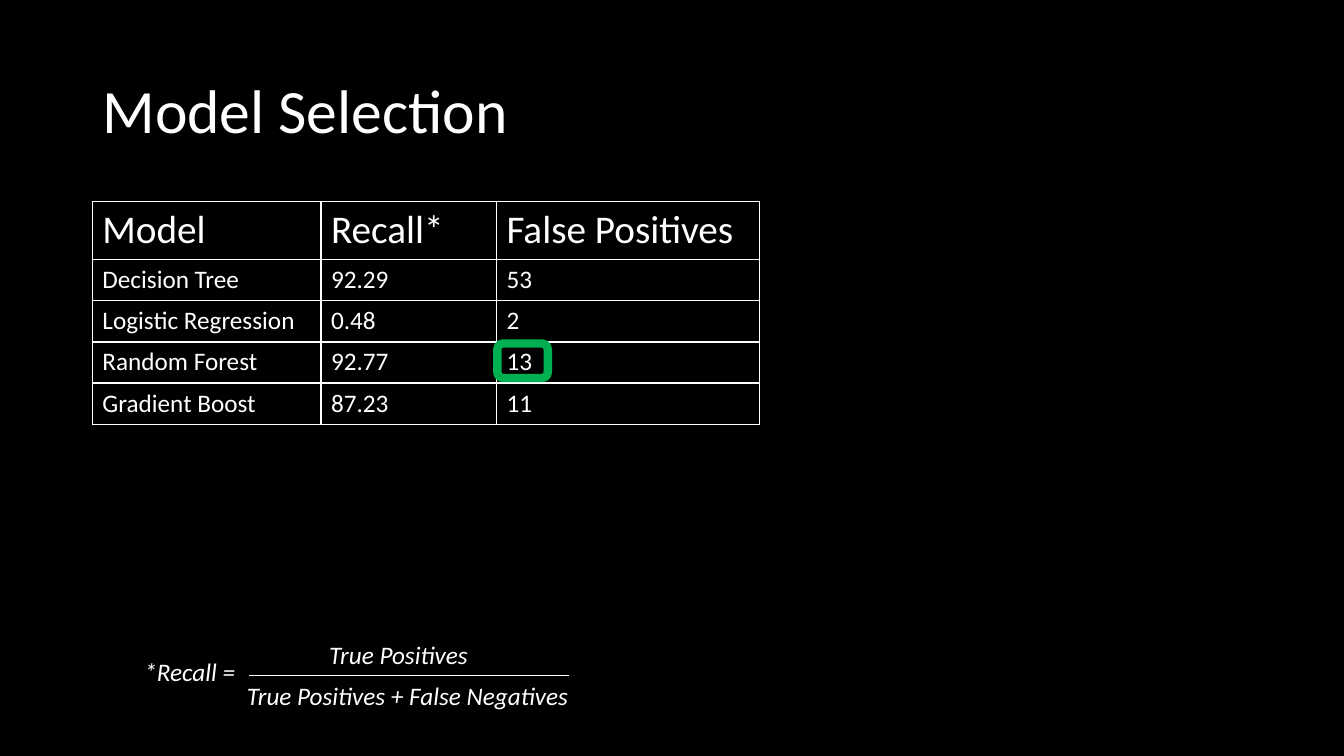
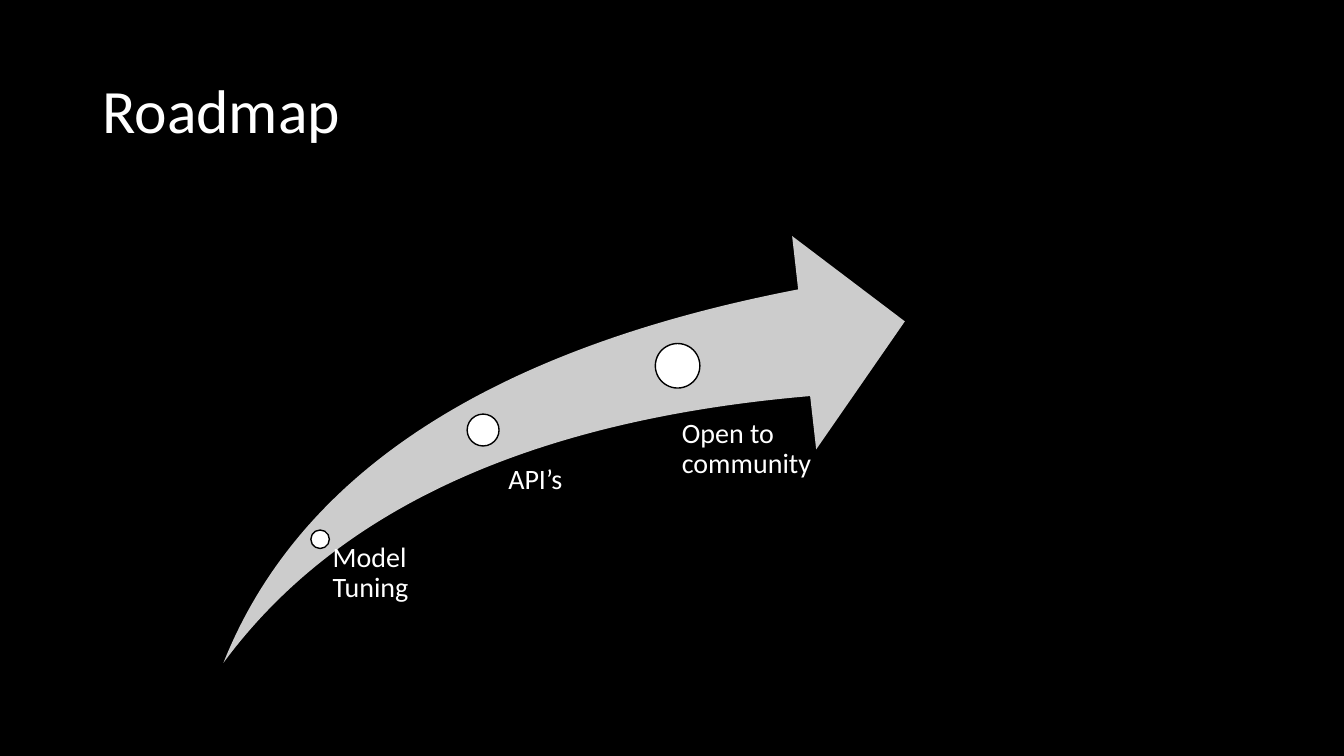
"""Build the model selection and roadmap slides."""
from dataclasses import dataclass
from typing import Any

import lxml.etree
import pptx
import pptx.dml.color
import pptx.enum.shapes
import pptx.enum.text
import pptx.oxml.ns
import pptx.util

RGB = pptx.dml.color.RGBColor
Shapes = pptx.enum.shapes.MSO_SHAPE
BLACK = RGB(0x00, 0x00, 0x00)
WHITE = RGB(0xFF, 0xFF, 0xFF)
SILVER = RGB(0xCC, 0xCC, 0xCC)
GREEN = RGB(0x00, 0xB0, 0x50)

FONT = "Calibri"
TITLE_SIZE, HEADER_SIZE, CAPTION_SIZE, TEXT_SIZE = 44, 28, 20, 18
LINE_SPACING = 0.9
TITLE_ONLY = 5

# The slide is a grid of 16 square columns by 9 rows.
SLIDE_WIDTH, SLIDE_HEIGHT = pptx.util.Inches(13.33), pptx.util.Inches(7.5)
CELL = SLIDE_HEIGHT / 9


def grid(count: float) -> pptx.util.Emu:
    """Convert a number of grid columns or rows to a length."""
    return pptx.util.Emu(round(count * CELL))


@dataclass(frozen=True)
class Area:
    """A rectangle in grid columns and rows."""
    left: float
    top: float
    width: float
    height: float

    def lengths(self) -> list[pptx.util.Emu]:
        """Return left, top, width and height as lengths."""
        return [grid(n) for n in (self.left, self.top, self.width, self.height)]


@dataclass(frozen=True)
class Milestone:
    """A dot on the roadmap and its caption."""
    caption: str
    left: float
    top: float
    diameter: float
    caption_area: Area


@dataclass(frozen=True)
class FormulaPart:
    """One piece of the recall formula."""
    text: str
    area: Area


TITLE_AREA = Area(1.1, 0.48, 13.8, 1.74)

MODEL_ROWS = [
    ("Model", "Recall*", "False Positives"),
    ("Decision Tree", "92.29", "53"),
    ("Logistic Regression", "0.48", "2"),
    ("Random Forest", "92.77", "13"),
    ("Gradient Boost", "87.23", "11"),
]
MODEL_COLUMNS = (2.72, 2.09, 3.13)
MODEL_ROW_HEIGHT = 0.49
MODEL_AREA = Area(1.1, 2.4, sum(MODEL_COLUMNS), MODEL_ROW_HEIGHT * len(MODEL_ROWS))
BEST_MODEL_AREA = Area(5.92, 4.09, 0.6, 0.41)

RECALL_FORMULA = [
    FormulaPart("True Positives", Area(3.8, 7.55, 1.95, 0.48)),
    FormulaPart("True Positives + False Negatives", Area(2.82, 8.04, 4.2, 0.48)),
    FormulaPart("*Recall =", Area(1.6, 7.75, 1.4, 0.48)),
]
FRACTION_LEFT, FRACTION_RIGHT, FRACTION_ROW = 2.96, 6.77, 8.04

ARROW_AREA = Area(2.66, 2.81, 8.11, 5.08)
MILESTONES = [
    Milestone("Model Tuning", 3.7, 6.31, 0.22, Area(3.85, 6.47, 1.9, 1.46)),
    Milestone("API’s", 5.56, 4.93, 0.38, Area(5.86, 5.54, 1.94, 0.73)),
    Milestone("Open to community", 7.8, 4.09, 0.53, Area(7.85, 4.99, 1.9, 1.69)),
]


def write(frame: Any, text: str, size: float, italic: bool = False) -> None:
    """Fill a text frame with white text in the shared font."""
    frame.text = text
    for run in frame.paragraphs[0].runs:
        run.font.name = FONT
        run.font.size = pptx.util.Pt(size)
        run.font.italic = italic
        run.font.color.rgb = WHITE


def add_titled_slide(deck: Any, title: str) -> Any:
    """Add a slide with the shared title style."""
    slide = deck.slides.add_slide(deck.slide_layouts[TITLE_ONLY])
    heading = slide.shapes.title
    heading.left, heading.top, heading.width, heading.height = TITLE_AREA.lengths()
    frame = heading.text_frame
    write(frame, title, TITLE_SIZE)
    frame.auto_size = pptx.enum.text.MSO_AUTO_SIZE.NONE
    frame.vertical_anchor = pptx.enum.text.MSO_ANCHOR.MIDDLE
    frame.paragraphs[0].alignment = pptx.enum.text.PP_ALIGN.LEFT
    frame.paragraphs[0].line_spacing = LINE_SPACING
    return slide


def add_label(slide: Any, area: Area, text: str, size: float,
              italic: bool = False) -> Any:
    """Add a wrapping text box and return its text frame."""
    frame = slide.shapes.add_textbox(*area.lengths()).text_frame
    frame.word_wrap = True
    write(frame, text, size, italic)
    return frame


def add_outline(slide: Any, kind: Any, area: Area, fill: RGB | None,
                line: RGB | None, weight: float = 1) -> Any:
    """Add a preset shape; None means no fill or no line."""
    shape = slide.shapes.add_shape(kind, *area.lengths())
    shape.shadow.inherit = False
    if fill is None:
        shape.fill.background()
    else:
        shape.fill.solid()
        shape.fill.fore_color.rgb = fill
    if line is None:
        shape.line.fill.background()
    else:
        shape.line.color.rgb = line
        shape.line.width = pptx.util.Pt(weight)
    return shape


def add_borders(cell: Any, color: RGB, weight: float) -> None:
    """Draw a solid border on all four sides of a table cell."""
    qn = pptx.oxml.ns.qn
    properties = cell._tc.get_or_add_tcPr()
    for side in ("a:lnL", "a:lnR", "a:lnT", "a:lnB"):
        border = lxml.etree.SubElement(properties, qn(side),
                                       w=str(pptx.util.Pt(weight)))
        fill = lxml.etree.SubElement(border, qn("a:solidFill"))
        lxml.etree.SubElement(fill, qn("a:srgbClr"), val=str(color))


def add_model_table(slide: Any) -> None:
    """Add the comparison of models."""
    table = slide.shapes.add_table(len(MODEL_ROWS), len(MODEL_COLUMNS),
                                   *MODEL_AREA.lengths()).table
    table.first_row = table.horz_banding = False
    for column, width in zip(table.columns, MODEL_COLUMNS):
        column.width = grid(width)
    for row_index, values in enumerate(MODEL_ROWS):
        size = TEXT_SIZE if row_index else HEADER_SIZE
        for column_index, value in enumerate(values):
            cell = table.cell(row_index, column_index)
            write(cell.text_frame, value, size)
            add_borders(cell, WHITE, 1)
            cell.fill.background()


def add_fraction_bar(slide: Any) -> None:
    """Add the line between numerator and denominator."""
    bar = slide.shapes.add_connector(
        pptx.enum.shapes.MSO_CONNECTOR.STRAIGHT,
        grid(FRACTION_LEFT), grid(FRACTION_ROW),
        grid(FRACTION_RIGHT), grid(FRACTION_ROW))
    bar.line.color.rgb = WHITE
    bar.line.width = pptx.util.Pt(1)
    lxml.etree.SubElement(bar._element.spPr, pptx.oxml.ns.qn("a:effectLst"))


def add_milestone(slide: Any, milestone: Milestone) -> None:
    """Add a dot and a caption indented by the dot's radius."""
    size = milestone.diameter
    dot_area = Area(milestone.left, milestone.top, size, size)
    add_outline(slide, Shapes.OVAL, dot_area, WHITE, BLACK)
    frame = add_label(slide, milestone.caption_area, milestone.caption, CAPTION_SIZE)
    frame.margin_left = grid(size / 2)
    frame.margin_top = frame.margin_right = frame.margin_bottom = 0
    frame.paragraphs[0].line_spacing = LINE_SPACING


def build_model_selection(deck: Any) -> None:
    """Build the slide that compares the models."""
    slide = add_titled_slide(deck, "Model Selection")
    add_model_table(slide)
    for part in RECALL_FORMULA:
        add_label(slide, part.area, part.text, TEXT_SIZE, italic=True)
    add_fraction_bar(slide)
    add_outline(slide, Shapes.ROUNDED_RECTANGLE, BEST_MODEL_AREA, None, GREEN, 6)


def build_roadmap(deck: Any) -> None:
    """Build the slide with milestones along a rising arrow."""
    slide = add_titled_slide(deck, "Roadmap")
    arrow = add_outline(slide, Shapes.SWOOSH_ARROW, ARROW_AREA, SILVER, None)
    arrow.adjustments[0] = arrow.adjustments[1] = 0.25
    for milestone in MILESTONES:
        add_milestone(slide, milestone)


def main() -> None:
    """Build and save the presentation."""
    deck = pptx.Presentation()
    deck.slide_width, deck.slide_height = SLIDE_WIDTH, SLIDE_HEIGHT
    backdrop = deck.slide_master.background.fill
    backdrop.solid()
    backdrop.fore_color.rgb = BLACK
    build_model_selection(deck)
    build_roadmap(deck)
    deck.save("out.pptx")


main()
